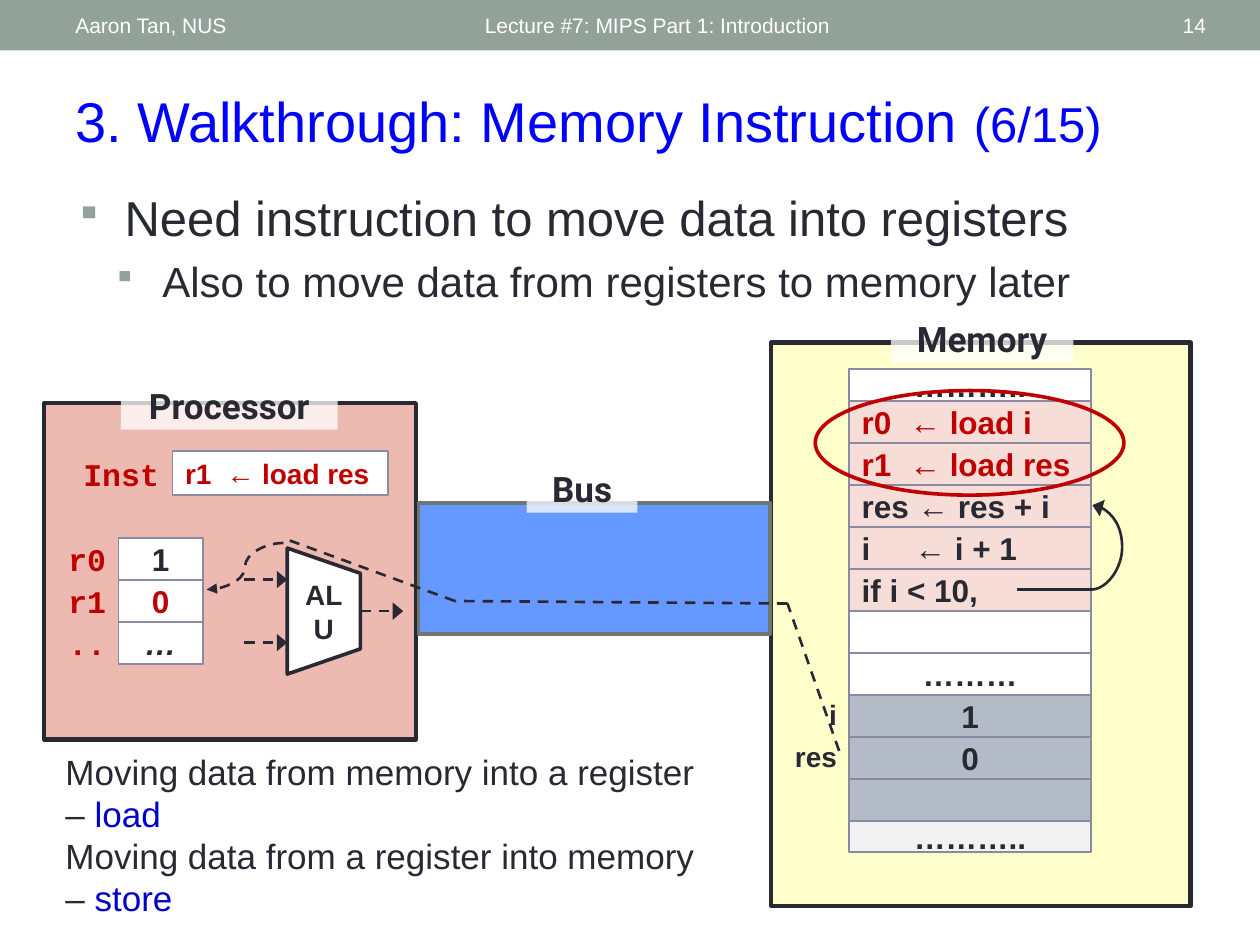
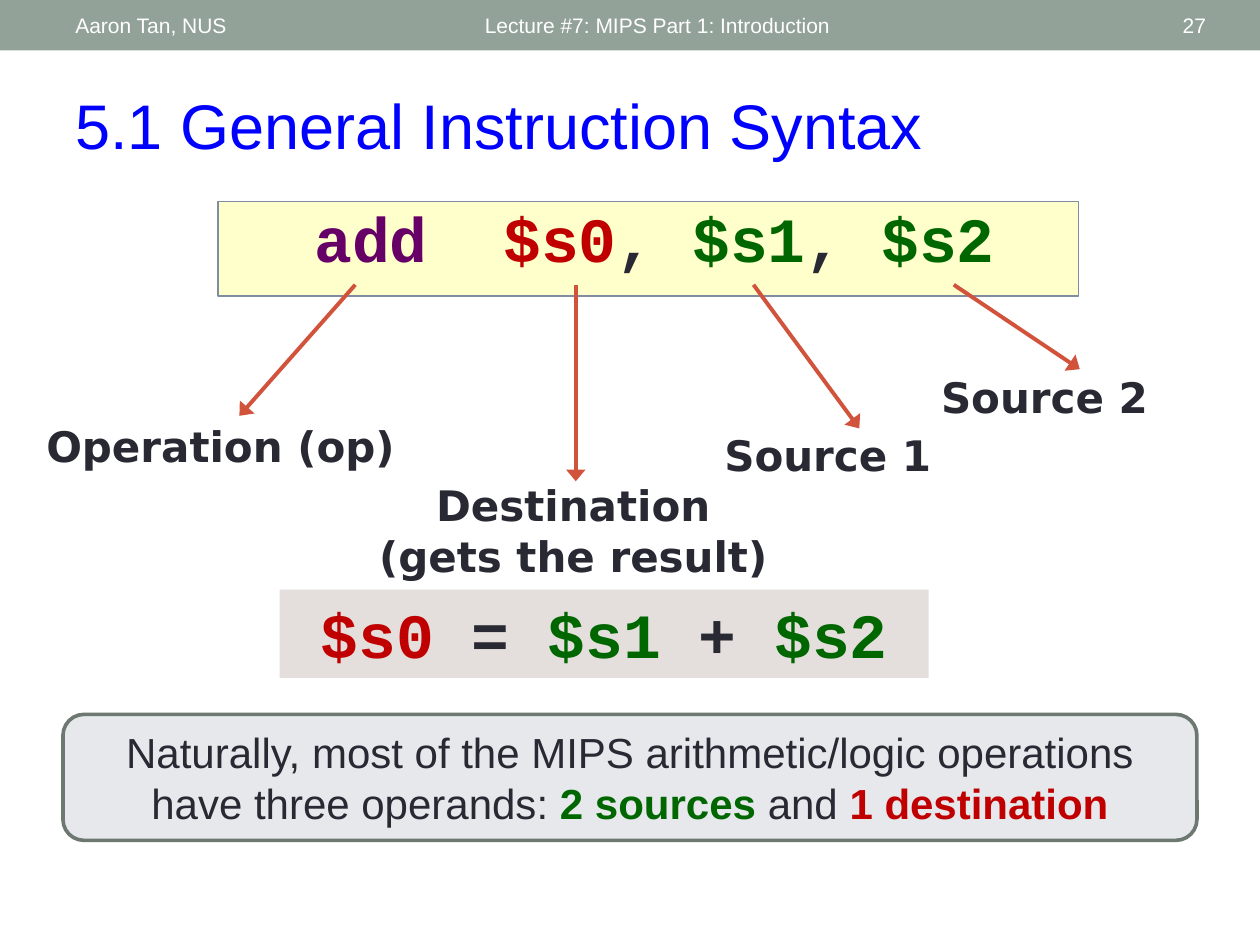
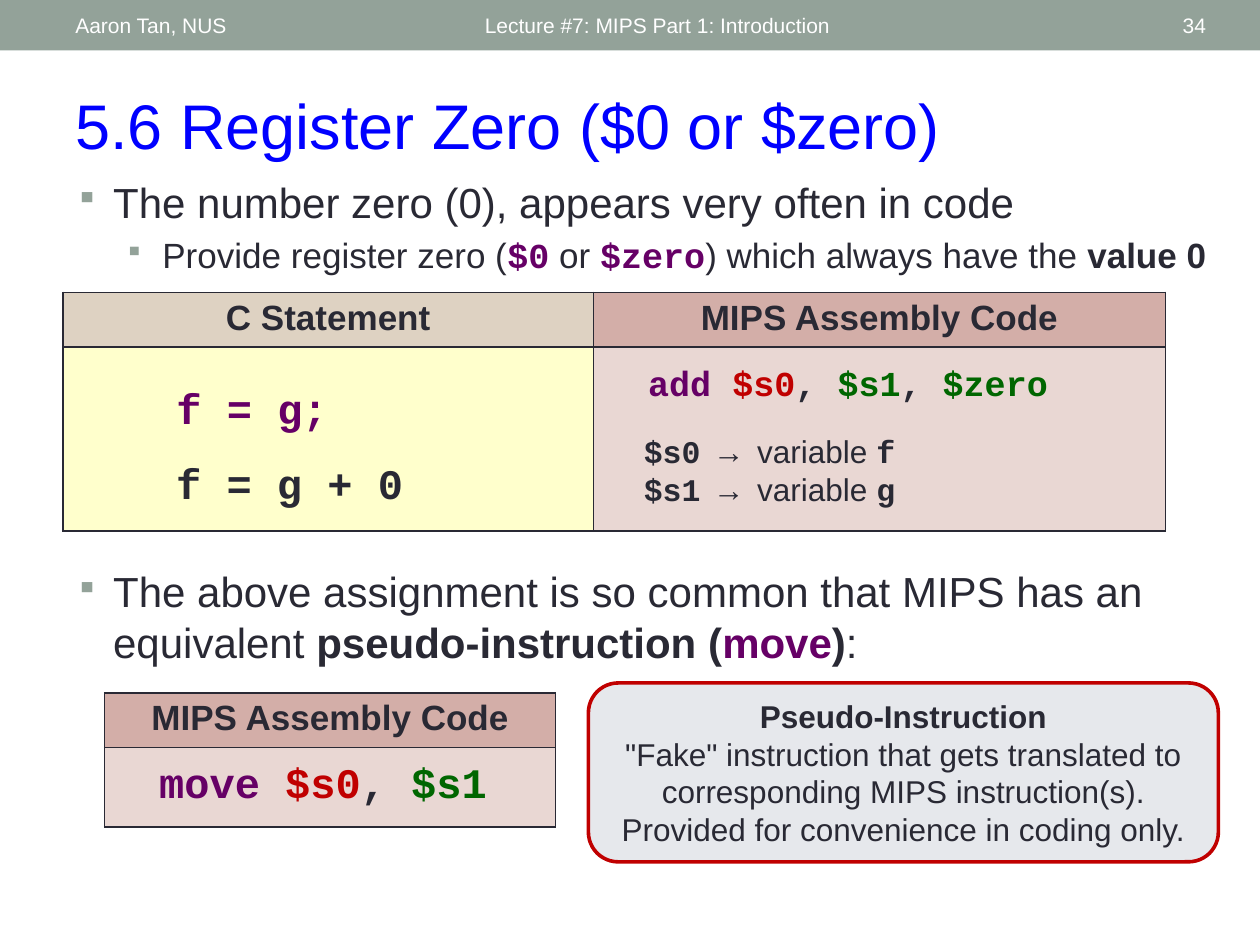
"""Build three lecture slides on MIPS instructions."""
from lxml import etree
from pptx import Presentation
from pptx.dml.color import RGBColor
from pptx.enum.dml import MSO_LINE
from pptx.enum.shapes import MSO_CONNECTOR, MSO_SHAPE
from pptx.enum.text import MSO_ANCHOR, PP_ALIGN
from pptx.oxml.ns import qn
from pptx.util import Inches, Pt

RECTANGLE = MSO_SHAPE.RECTANGLE
ROUNDED = MSO_SHAPE.ROUNDED_RECTANGLE
OVAL = MSO_SHAPE.OVAL
TRAPEZOID = MSO_SHAPE.FLOWCHART_MANUAL_OPERATION
STRAIGHT = MSO_CONNECTOR.STRAIGHT
CURVE = MSO_CONNECTOR.CURVE
DASH = MSO_LINE.DASH
LEFT, CENTER, RIGHT = PP_ALIGN.LEFT, PP_ALIGN.CENTER, PP_ALIGN.RIGHT
TOP, MIDDLE = MSO_ANCHOR.TOP, MSO_ANCHOR.MIDDLE
RIGHT_SIDE = 3
WIDE, NORMAL = "lg", "med"

COLORS = {
    "ink": "292934", "white": "FFFFFF", "band": "93A299", "title": "0000FF",
    "red": "C00000", "green": "006600", "purple": "660066", "keyword": "0000CC",
    "processor": "EDBAB1", "yellow": "FFFFCC", "bus": "6699FF", "bus line": "6D7871",
    "cell line": "8A8AA3", "instruction": "F6DDD8", "data": "B3BBC6", "rest": "F2F2F2",
    "syntax line": "808DA0", "arrow": "D2533C", "result": "E4DFDC", "callout": "E6E8EC",
    "c header": "DED2C2", "mips header": "D3AEA8", "mips body": "E9D7D3",
}
SANS, MONO, LABEL, HEADING = "Arial", "Courier New", "DejaVu Sans", "Roboto"
RED, GREEN, PURPLE = ({"color": name} for name in ("red", "green", "purple"))
BOLD = {"bold": True}
KEYWORD = {"color": "keyword"}
MONO_BOLD = {"font": MONO, "bold": True}
MONO_PURPLE = {**MONO_BOLD, **PURPLE}


def rgb(name):
    """Return the named colour."""
    return RGBColor.from_string(COLORS[name])


def add_child(parent, tag, **attributes):
    """Append a drawing element to its parent."""
    return etree.SubElement(parent, qn(tag), attributes)


def write(frame, runs, size=18, font=SANS, color="ink", bold=False, italic=False,
          align=LEFT, spacing=None, before=None, bullet=None, level=0, tab=None):
    """Add one paragraph of runs, each a string or a (string, format) pair."""
    paragraph = frame.paragraphs[-1]
    if paragraph.runs:
        paragraph = frame.add_paragraph()
    paragraph.alignment = align
    paragraph.level = level
    properties = paragraph._p.get_or_add_pPr()
    if bullet:
        margin, hanging = bullet
        properties.set("marL", str(Inches(margin)))
        properties.set("indent", str(-Inches(hanging)))
        bullet_color = add_child(properties, "a:buClr")
        add_child(bullet_color, "a:srgbClr", val=COLORS["band"])
        add_child(properties, "a:buSzPct", val="75000")
        add_child(properties, "a:buChar", char="▪")
    if tab:
        tabs = add_child(properties, "a:tabLst")
        add_child(tabs, "a:tab", pos=str(Inches(tab)), algn="l")
    if spacing:
        paragraph.line_spacing = spacing
    if before:
        paragraph.space_before = Pt(before)
    base = {"size": size, "font": font, "color": color, "bold": bold, "italic": italic}
    for item in [runs] if isinstance(runs, str) else runs:
        text, changes = (item, {}) if isinstance(item, str) else item
        style = {**base, **changes}
        run = paragraph.add_run()
        run.text = text
        run.font.size = Pt(style["size"])
        run.font.name = style["font"]
        run.font.bold = style["bold"]
        run.font.italic = style["italic"]
        run.font.color.rgb = rgb(style["color"])


class Deck:
    """Hold the presentation, its style and the current slide."""

    def __init__(self):
        """Start an empty presentation."""
        self.presentation = Presentation()
        self.presentation.slide_width = Inches(10)
        self.presentation.slide_height = Inches(7.5)
        self.slide = None

    def new_slide(self, number, title, size=36):
        """Add a slide with its band, footers and title."""
        self.slide = self.presentation.slides.add_slide(self.presentation.slide_layouts[6])
        self.box((0, 0, 10, 0.4), fill="band")
        small = {"size": 12, "color": "white", "anchor": MIDDLE}
        self.text((3.75, 0.02, 4.5, 0.36), "Lecture #7: MIPS Part 1: Introduction", **small)
        self.text((0.5, 0.02, 3.17, 0.36), "Aaron Tan, NUS", **small)
        self.text((8.72, 0.02, 0.95, 0.36), number, align=RIGHT, **small)
        self.text((0.5, 0.64, 9.17, 0.7), title, size=size, color="title")

    def fill_frame(self, frame, runs, anchor=TOP, insets=(0.1, 0.05), wrap=True, **style):
        """Set up a text frame and write its first paragraph."""
        frame.word_wrap = wrap
        frame.vertical_anchor = anchor
        frame.margin_left = frame.margin_right = Inches(insets[0])
        frame.margin_top = frame.margin_bottom = Inches(insets[1])
        if runs:
            write(frame, runs, **style)

    def text(self, at, runs, **style):
        """Add a text box and return its frame."""
        shape = self.slide.shapes.add_textbox(*map(Inches, at))
        self.fill_frame(shape.text_frame, runs, **style)
        return shape.text_frame

    def box(self, at, runs="", kind=RECTANGLE, fill=None, opacity=None, line=None,
            width=1, **style):
        """Add a preset shape with optional text."""
        shape = self.slide.shapes.add_shape(kind, *map(Inches, at))
        shape.shadow.inherit = False
        if fill:
            shape.fill.solid()
            shape.fill.fore_color.rgb = rgb(fill)
        else:
            shape.fill.background()
        if opacity:
            fill_color = shape.element.spPr.find(".//" + qn("a:srgbClr"))
            add_child(fill_color, "a:alpha", val=str(opacity * 1000))
        if line:
            shape.line.color.rgb = rgb(line)
            shape.line.width = Pt(width)
        else:
            shape.line.fill.background()
        self.fill_frame(shape.text_frame, runs, **style)
        return shape

    def line(self, start, end, kind=STRAIGHT, color="ink", width=1.5, dash=None,
             arrow=None, bend=None):
        """Add a straight or curved connector."""
        connector = self.slide.shapes.add_connector(kind, *map(Inches, start + end))
        connector.line.color.rgb = rgb(color)
        connector.line.width = Pt(width)
        if dash:
            connector.line.dash_style = dash
        if arrow:
            add_child(connector.line._get_or_add_ln(), "a:tailEnd", type="triangle", w=arrow)
        properties = connector.element.spPr
        add_child(properties, "a:effectLst")
        if bend:
            guides = properties.find(".//" + qn("a:avLst"))
            add_child(guides, "a:gd", name="adj1", fmla=f"val {bend * 100000}")
        return connector

    def heading(self, at, name):
        """Add a translucent caption over the edge of a block."""
        self.box(at, name, fill="white", opacity=75, size=20, font=HEADING, bold=True,
                 align=CENTER, spacing=0.85, insets=(0.07, 0.03))

    def table(self, at, columns, rows, fills):
        """Add a bordered table and return it."""
        shape = self.slide.shapes.add_table(
            len(rows), len(columns), *map(Inches, (*at, sum(columns), sum(rows))))
        table = shape.table
        table.first_row = table.horz_banding = False
        for column, width in zip(table.columns, columns):
            column.width = Inches(width)
        for row, height in zip(table.rows, rows):
            row.height = Inches(height)
        for cell, fill in zip(table.iter_cells(), fills):
            properties = cell._tc.get_or_add_tcPr()
            for side in ("a:lnL", "a:lnR", "a:lnT", "a:lnB"):
                border = add_child(properties, side, w=str(Pt(1)))
                add_child(add_child(border, "a:solidFill"), "a:srgbClr", val=COLORS["ink"])
            cell.fill.solid()
            cell.fill.fore_color.rgb = rgb(fill)
        return table


def build_walkthrough(deck):
    """Draw the processor, bus and memory during a load."""
    deck.new_slide("14", ["3. Walkthrough: Memory Instruction ", ("(6/15)", {"size": 28})], 32)
    points = deck.text((0.5, 1.44, 9, 1.58), "Need instruction to move data into registers",
                       size=28, bullet=(0.39, 0.39))
    write(points, "Also to move data from registers to memory later", size=24,
          bullet=(0.69, 0.39), level=1, before=5)

    deck.box((0.35, 3.2, 2.95, 2.67), fill="processor", line="ink", width=2.5)
    deck.heading((0.96, 3.07, 1.72, 0.34), "Processor")
    deck.box((6.12, 2.72, 3.33, 4.47), fill="yellow", line="ink", width=2.5)
    deck.heading((7.07, 2.54, 1.45, 0.34), "Memory")
    deck.box((3.32, 3.99, 2.79, 1.04), fill="bus", line="bus line", width=2.08)
    deck.heading((4.18, 3.73, 0.88, 0.34), "Bus")

    row_height = 1 / 3
    memory = [
        ("………..", "white", CENTER, "ink", None),
        ("r0\t← load i", "instruction", LEFT, "red", 0.38),
        ("r1\t← load res", "instruction", LEFT, "red", 0.38),
        ("res ← res + i", "instruction", LEFT, "ink", None),
        ("i\t← i + 1", "instruction", LEFT, "ink", 0.42),
        ("if i < 10,", "instruction", LEFT, "ink", None),
        ("", "white", CENTER, "ink", None),
        ("………", "white", CENTER, "ink", None),
        ("1", "data", CENTER, "ink", None),
        ("0", "data", CENTER, "ink", None),
        ("", "data", CENTER, "ink", None),
        ("………..", "rest", CENTER, "ink", None),
    ]
    top = 2.93
    cells = []
    for index, (text, fill, align, color, tab) in enumerate(memory):
        height = 0.25 if index in (0, len(memory) - 1) else row_height
        cells.append(deck.box((6.74, top, 1.92, height), text, fill=fill, line="cell line",
                              anchor=MIDDLE, align=align, color=color, bold=True, tab=tab))
        top += height
    jump = deck.line((8.07, 4.68), (8.66, 4.68))
    jump.end_connect(cells[5], RIGHT_SIDE)
    deck.line((8.66, 4.68), (8.67, 4.01), kind=CURVE, arrow=WIDE, bend=25)
    for row, name in enumerate(("i", "res")):
        deck.text((6.16, 5.5 + row * row_height, 0.58, row_height), name, size=16,
                  bold=True, align=RIGHT, anchor=MIDDLE)

    red_code = {"font": MONO, "color": "red", "bold": True, "align": RIGHT, "anchor": MIDDLE}
    white_cell = {"fill": "white", "line": "cell line", "bold": True, "anchor": MIDDLE}
    deck.text((0.53, 3.6, 0.83, 0.33), "Inst", **red_code)
    deck.box((1.37, 3.58, 1.71, 0.35), "r1\t← load res", size=16, color="red", tab=0.33,
             **white_cell)
    registers = [("r0", "1", {}), ("r1", "0", RED), ("..", "…", {"italic": True})]
    for row, (name, value, style) in enumerate(registers):
        y = 4.27 + row * row_height
        deck.text((0.44, y, 0.5, row_height), name, **red_code)
        deck.box((0.94, y, 0.67, row_height), value, align=CENTER, **white_cell, **style)

    alu = deck.box((2.07, 4.56, 1, 0.58), "ALU", kind=TRAPEZOID, fill="white", line="ink",
                   width=2.08, size=16, bold=True, align=CENTER, anchor=MIDDLE)
    alu.rotation = 270
    alu.text_frame._txBody.bodyPr.set("vert", "vert")
    for x, y in ((1.94, 4.6), (1.94, 5.1), (2.86, 4.85)):
        deck.line((x, y), (x + 0.34, y), dash=DASH, arrow=WIDE)

    notes = deck.text((0.42, 5.91, 5.39, 1.45),
                      ["Moving data from memory into a register – ", ("load", KEYWORD)], size=20)
    write(notes, ["Moving data from a register into memory – ", ("store", KEYWORD)], size=20)
    deck.box((6.47, 3.1, 2.45, 0.83), kind=OVAL, line="red", width=2.08)
    route = [(6.66, 5.96), (6.25, 4.79), (3.61, 4.77), (2.3, 4.29)]
    for start, end in zip(route, route[1:]):
        deck.line(start, end, dash=DASH)
    deck.line((2.25, 4.31), (1.64, 4.68), kind=CURVE, dash=DASH, arrow=NORMAL)


def build_syntax(deck):
    """Explain the parts of an add instruction."""
    deck.new_slide("27", "5.1 General Instruction Syntax")
    code = {"size": 36, "font": MONO, "bold": True, "align": CENTER}
    deck.box((1.73, 1.6, 6.83, 0.75),
             [(" ", {"size": 26, "font": SANS}), ("add  ", PURPLE), ("$s0", RED), ", ",
              ("$s1", GREEN), ", ", ("$s2", GREEN)],
             fill="yellow", line="syntax line", width=0.75, insets=(0.1, 0.1), wrap=False,
             spacing=0.8, **code)
    parts = [
        ((2.82, 2.26), (1.9, 3.3), (0.24, 3.29, 3.02, 0.5), ["Operation (op)"]),
        ((4.57, 2.26), (4.57, 3.82), (2.9, 3.76, 3.3, 0.9),
         ["Destination", "(gets the result)"]),
        ((5.98, 2.26), (6.82, 3.4), (5.65, 3.36, 1.84, 0.5), ["Source 1"]),
        ((7.57, 2.26), (8.57, 2.93), (7.37, 2.9, 1.84, 0.5), ["Source 2"]),
    ]
    for start, end, at, lines in parts:
        deck.line(start, end, color="arrow", width=2.25, arrow=WIDE)
        frame = deck.text(at, "", wrap=False)
        for label in lines:
            write(frame, label, size=24, font=LABEL, bold=True, align=CENTER)
    deck.box((2.22, 4.68, 5.15, 0.7),
             [("$s0 ", RED), "= ", ("$s1 ", GREEN), "+ ", ("$s2", GREEN)], fill="result", **code)
    deck.box((0.5, 5.67, 9, 1),
             ["Naturally, most of the MIPS arithmetic/logic operations have three operands: ",
              ("2 sources ", {**GREEN, **BOLD}), "and ", ("1 destination", {**RED, **BOLD})],
             kind=ROUNDED, fill="callout", line="bus line", width=2.08, size=24,
             align=CENTER, anchor=MIDDLE)


def build_register_zero(deck):
    """Show register zero and the move pseudo-instruction."""
    deck.new_slide("34", "5.6 Register Zero ($0 or $zero)")
    bullet = {"size": 24, "bullet": (0.3, 0.3)}
    points = deck.text((0.5, 1.35, 9.25, 0.95),
                       "The number zero (0), appears very often in code", **bullet)
    write(points, ["Provide register zero (", ("$0", MONO_PURPLE), " or ",
                   ("$zero", MONO_PURPLE), ") which always have the ", ("value 0", BOLD)],
          size=20, bullet=(0.69, 0.3), level=1, before=4)

    header = {"size": 20, "bold": True, "align": CENTER}
    table = deck.table((0.5, 2.32), (4.21, 4.54), (0.43, 1.46),
                       ("c header", "mips header", "yellow", "mips body"))
    write(table.cell(0, 0).text_frame, "C Statement", **header)
    write(table.cell(0, 1).text_frame, "MIPS Assembly Code", **header)
    statement = table.cell(1, 0)
    statement.margin_top = Inches(0.38)
    write(statement.text_frame, "    f = g;", size=24, spacing=Pt(24), **MONO_PURPLE)
    assembly = table.cell(1, 1)
    assembly.vertical_anchor = MIDDLE
    write(assembly.text_frame,
          [("  add ", PURPLE), ("$s0", RED), ", ", ("$s1", GREEN), ", ", ("$zero", GREEN)],
          size=20, **MONO_BOLD)
    for register, variable, before in (("$s0", "f", 16), ("$s1", "g", None)):
        write(assembly.text_frame,
              [(f"  {register}", MONO_BOLD), (" → ", {"font": MONO}), "variable ",
               (variable, MONO_BOLD)], before=before)
    deck.text((1.3, 3.65, 2.84, 0.45), "f = g + 0", size=24, spacing=Pt(24), **MONO_BOLD)

    deck.text((0.5, 4.44, 9, 1.06),
              ["The above assignment is so common that MIPS has an equivalent ",
               ("pseudo-instruction (", BOLD), ("move", {**PURPLE, **BOLD}), (")", BOLD), ":"],
              **bullet)
    move_table = deck.table((0.83, 5.5), (3.58,), (0.43, 0.63), ("mips header", "mips body"))
    write(move_table.cell(0, 0).text_frame, "MIPS Assembly Code", **header)
    move = move_table.cell(1, 0)
    move.vertical_anchor = MIDDLE
    write(move.text_frame,
          [("  ", {"size": 20}), ("move ", PURPLE), ("$s0", RED), ", ", ("$s1", GREEN)],
          size=24, **MONO_BOLD)
    callout = deck.box((4.67, 5.42, 5, 1.42), "Pseudo-Instruction", kind=ROUNDED,
                       fill="callout", line="red", width=2.08, bold=True, align=CENTER,
                       anchor=MIDDLE)
    write(callout.text_frame,
          "\"Fake\" instruction that gets translated to corresponding MIPS instruction(s). "
          "Provided for convenience in coding only.", align=CENTER)


def main():
    """Build and save the slides."""
    deck = Deck()
    for build in (build_walkthrough, build_syntax, build_register_zero):
        build(deck)
    deck.presentation.save("out.pptx")


if __name__ == "__main__":
    main()
